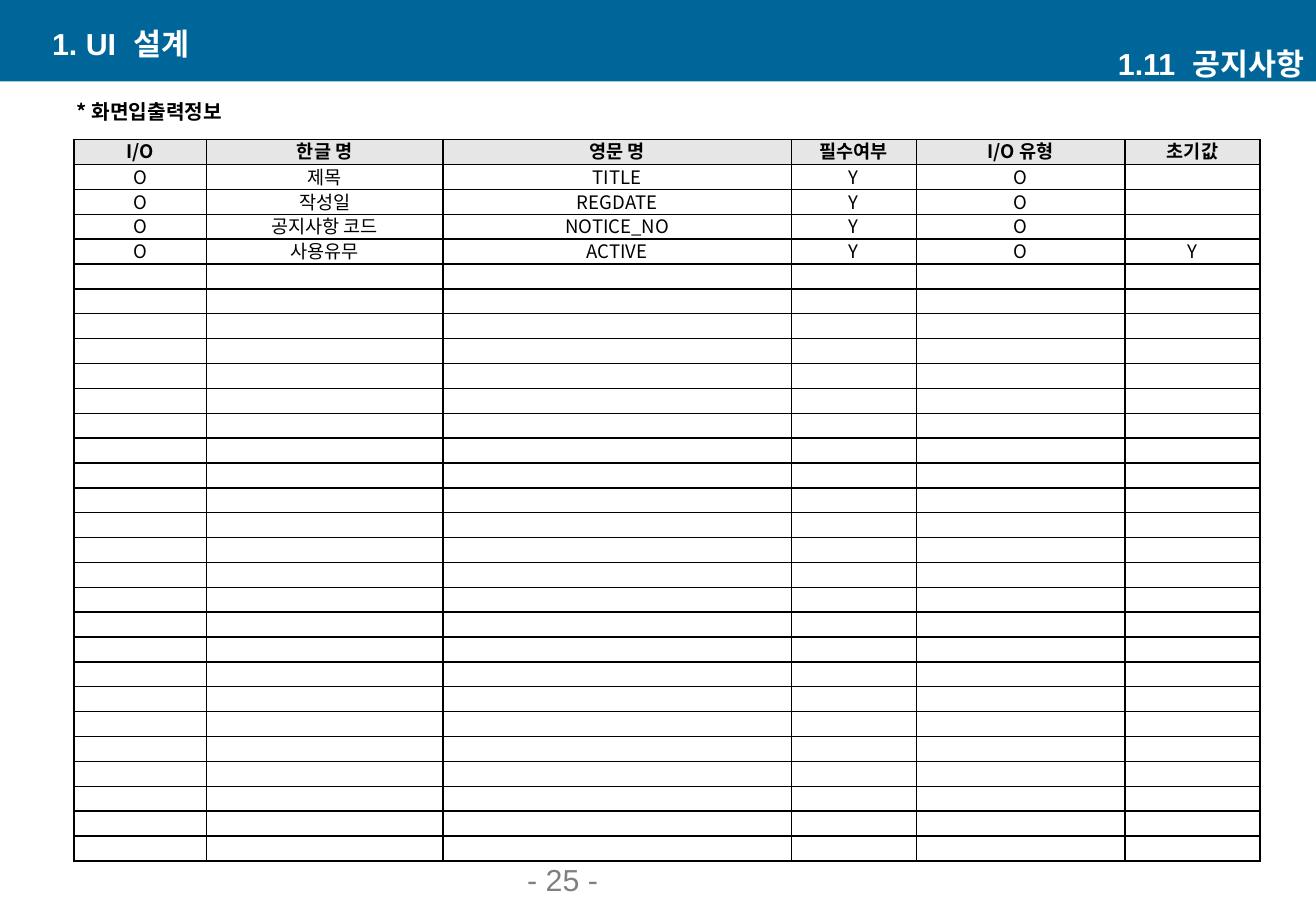
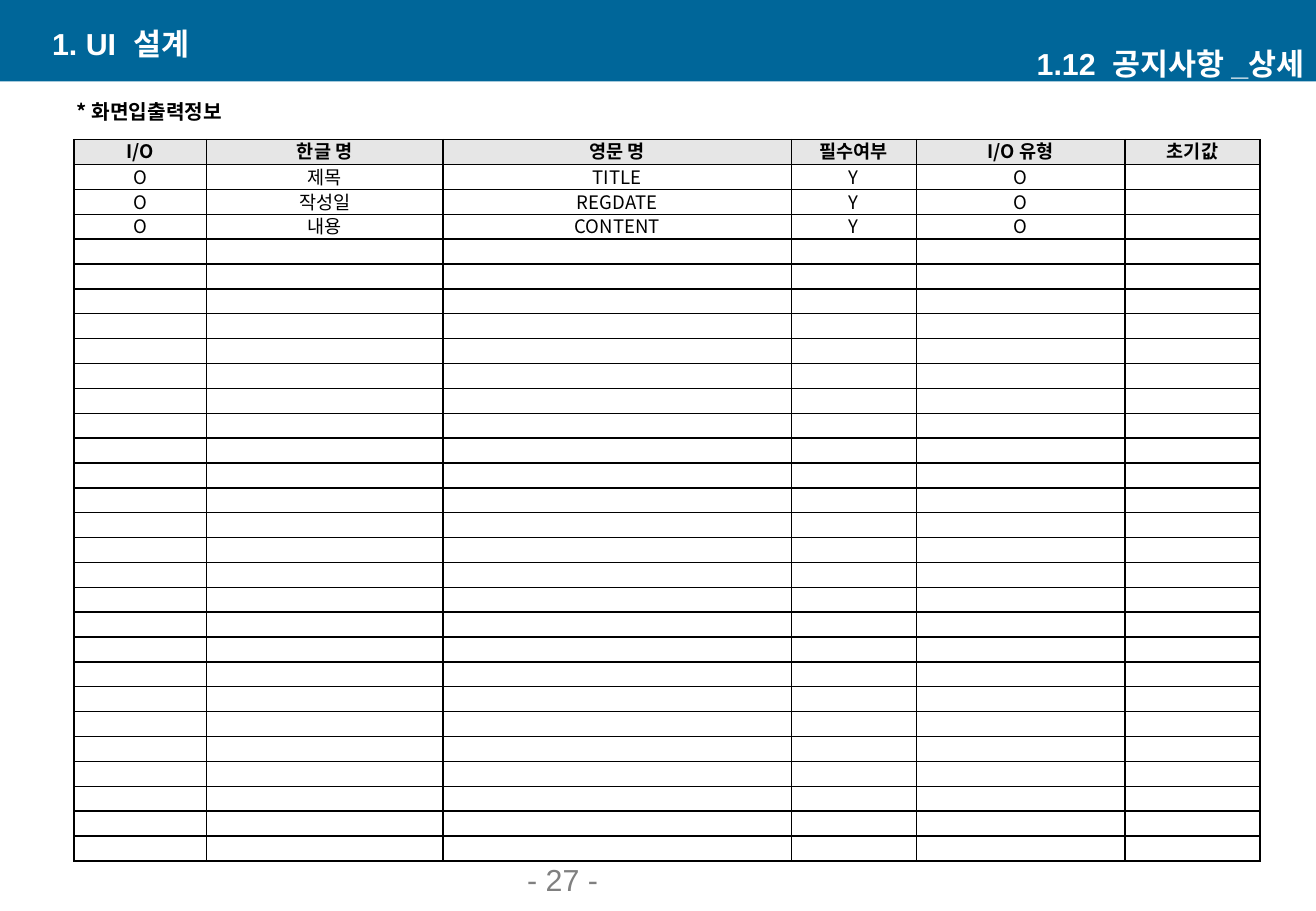
from lxml import etree
from pptx import Presentation
from pptx.dml.color import RGBColor
from pptx.enum.shapes import MSO_SHAPE
from pptx.enum.text import MSO_ANCHOR, PP_ALIGN
from pptx.oxml.ns import qn
from pptx.util import Inches, Pt

RECT = MSO_SHAPE.RECTANGLE
TOP, MIDDLE, BOTTOM = MSO_ANCHOR.TOP, MSO_ANCHOR.MIDDLE, MSO_ANCHOR.BOTTOM
LEFT, CENTER, RIGHT = PP_ALIGN.LEFT, PP_ALIGN.CENTER, PP_ALIGN.RIGHT

WIDTH, HEIGHT = 10.83, 7.5
BLUE, WHITE, BLACK = "006699", "FFFFFF", "000000"
GRAY, HEADER_FILL = "808080", "E6E6E6"
LATIN, KOREAN = "Arial", "Noto Sans CJK KR"

BAND = (0, 0, WIDTH, 0.67)
TABLE = (0.61, 1.15, 9.76, 5.94)
COLUMNS = [1.09, 1.95, 2.87, 1.03, 1.72, 1.11]
ROW_COUNT = 29
HEADERS = ["I/O", "한글 명", "영문 명", "필수여부", "I/O 유형", "초기값"]

PAGES = [
    ("1.11  공지사항", "- 25 -", [
        ["O", "제목", "TITLE", "Y", "O", ""],
        ["O", "작성일", "REGDATE", "Y", "O", ""],
        ["O", "공지사항 코드", "NOTICE_NO", "Y", "O", ""],
        ["O", "사용유무", "ACTIVE", "Y", "O", "Y"],
    ]),
    ("1.12  공지사항 _상세", "- 27 -", [
        ["O", "제목", "TITLE", "Y", "O", ""],
        ["O", "작성일", "REGDATE", "Y", "O", ""],
        ["O", "내용", "CONTENT", "Y", "O", ""],
    ]),
]


def rgb(value):
    return RGBColor.from_string(value)


def inches(box):
    return [Inches(v) for v in box]


def style(p, size, color, font, bold=False, align=LEFT):
    p.alignment = align
    for r in p.runs:
        r.font.size = Pt(size)
        r.font.bold = bold
        r.font.name = font
        r.font.color.rgb = rgb(color)
        ea = etree.SubElement(r.font._element, qn("a:ea"))
        ea.set("typeface", KOREAN)


def add_text(s, box, text, size, color, font=LATIN, bold=True,
             align=LEFT, anchor=MIDDLE, wrap=True):
    tf = s.shapes.add_textbox(*inches(box)).text_frame
    tf.word_wrap = wrap
    tf.vertical_anchor = anchor
    p = tf.paragraphs[0]
    p.text = text
    style(p, size, color, font, bold, align)


def add_band(s, box, title):
    x, y, w, h = box
    sp = s.shapes.add_shape(RECT, *inches(box))
    sp.shadow.inherit = False
    sp.fill.solid()
    sp.fill.fore_color.rgb = rgb(BLUE)
    sp.line.fill.background()
    title_w, title_h = 4.38, h / 2
    add_text(s, (x + 0.33, y + 0.19, title_w, title_h), "1. UI  설계", 18, WHITE)
    add_text(s, (x + w - title_w, y + 0.35, title_w, title_h), title, 18, WHITE,
             align=RIGHT)


def add_borders(cell):
    tcPr = cell._tc.get_or_add_tcPr()
    for side in ("lnL", "lnR", "lnT", "lnB"):
        ln = etree.SubElement(tcPr, qn("a:" + side), w=str(Pt(1)))
        fill = etree.SubElement(ln, qn("a:solidFill"))
        etree.SubElement(fill, qn("a:srgbClr"), val=BLACK)


def fill_cell(cell, text, header):
    add_borders(cell)
    if header:
        cell.fill.solid()
        cell.fill.fore_color.rgb = rgb(HEADER_FILL)
    else:
        cell.fill.background()
    side = 0.07 if header else 0.01
    cell.margin_left = cell.margin_right = Inches(side)
    cell.margin_top = cell.margin_bottom = 0
    cell.vertical_anchor = MIDDLE if header else BOTTOM
    p = cell.text_frame.paragraphs[0]
    p.line_spacing = Pt(14)
    if text:
        p.text = text
    else:
        etree.SubElement(p._p, qn("a:endParaRPr"), sz="1100")
    style(p, 11, BLACK, KOREAN, header, CENTER)


def add_field_table(s, box, records):
    table = s.shapes.add_table(ROW_COUNT, len(COLUMNS), *inches(box)).table
    table.first_row = False
    table.horz_banding = False
    for column, share in zip(table.columns, COLUMNS):
        column.width = Inches(box[2] * share / sum(COLUMNS))
    blank = [""] * len(COLUMNS)
    rows = [HEADERS] + records
    rows += [blank] * (ROW_COUNT - len(rows))
    for i, values in enumerate(rows):
        table.rows[i].height = Inches(box[3] / ROW_COUNT)
        for j, text in enumerate(values):
            fill_cell(table.cell(i, j), text, i == 0)


def add_page(prs, title, number, records):
    s = prs.slides.add_slide(prs.slide_layouts[6])
    add_band(s, BAND, title)
    add_text(s, (4.24, 7.13, 2.26, 0.31), number, 18, GRAY, bold=False,
             anchor=BOTTOM)
    add_field_table(s, TABLE, records)
    add_text(s, (0.47, 0.77, 1.52, 0.29), "* 화면입출력정보", 12, BLACK, KOREAN,
             align=CENTER, wrap=False)


def main():
    prs = Presentation()
    prs.slide_width, prs.slide_height = Inches(WIDTH), Inches(HEIGHT)
    for title, number, records in PAGES:
        add_page(prs, title, number, records)
    prs.save("out.pptx")


if __name__ == "__main__":
    main()
